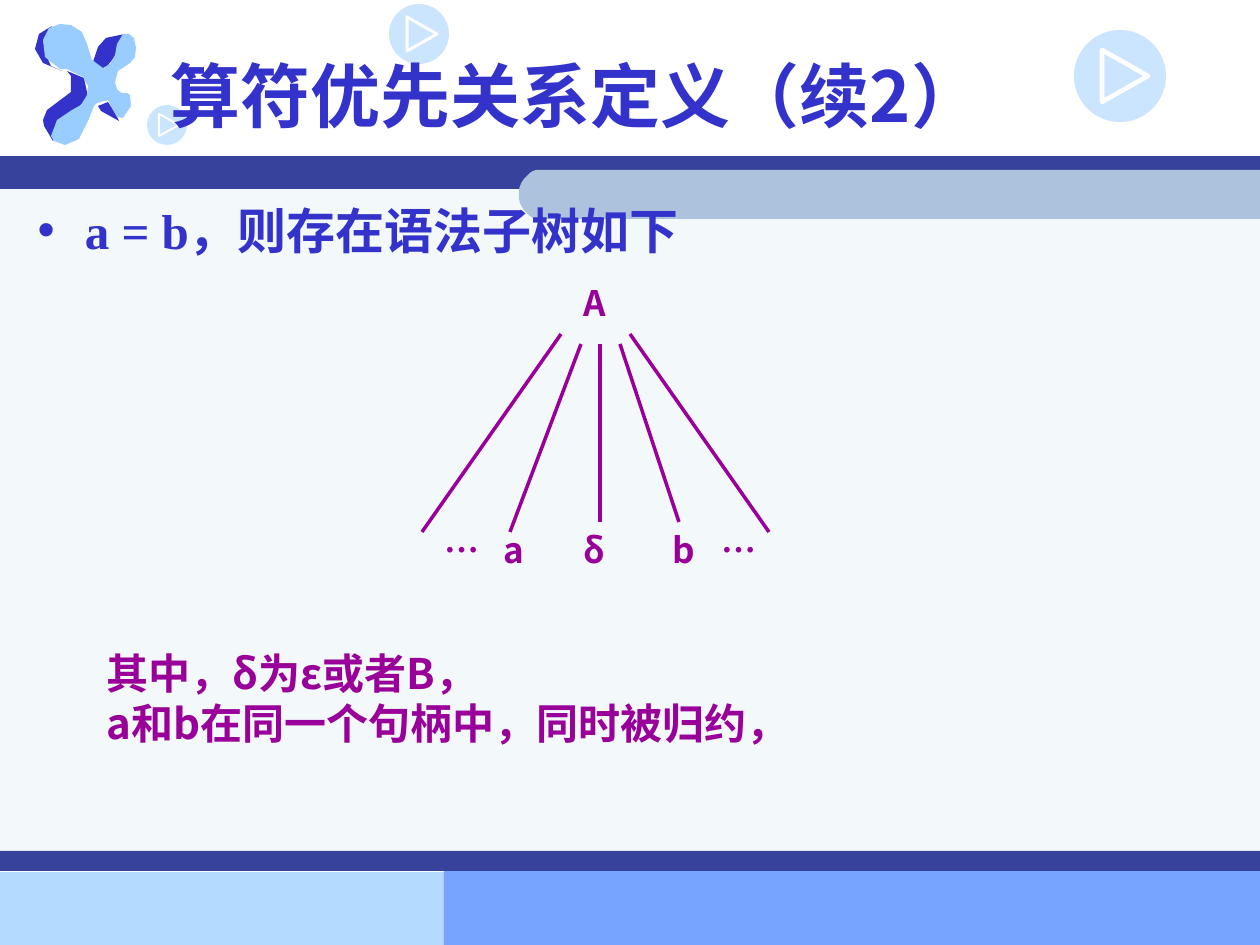
import math
from typing import NamedTuple

from lxml import etree
from pptx import Presentation
from pptx.dml.color import RGBColor
from pptx.enum.shapes import MSO_CONNECTOR, MSO_SHAPE
from pptx.enum.text import MSO_ANCHOR, PP_ALIGN
from pptx.oxml.ns import qn
from pptx.util import Emu, Pt

EMU_PER_PX = 914400 / 126
POINTS_PER_PX = 72 / 126
RECTANGLE, OVAL = MSO_SHAPE.RECTANGLE, MSO_SHAPE.OVAL
STRAIGHT = MSO_CONNECTOR.STRAIGHT
LEFT, MIDDLE, TOP = PP_ALIGN.LEFT, MSO_ANCHOR.MIDDLE, MSO_ANCHOR.TOP
SANS, SERIF = "Noto Sans CJK SC", "Times New Roman"
BLUE, PURPLE, SKY, NAVY, WHITE = "3333CC", "990099", "99CCFF", "36429B", "FFFFFF"


class Box(NamedTuple):
    left: int
    top: int
    width: int
    height: int


class Band(NamedTuple):
    box: Box
    color: str


class Style(NamedTuple):
    size: int
    color: str
    latin: str = SANS


class Label(NamedTuple):
    text: str
    left: int
    top: int


class Branch(NamedTuple):
    start: tuple[int, int]
    end: tuple[int, int]


class PlayIcon(NamedTuple):
    left: int
    top: int
    size: int


class Patch(NamedTuple):
    points: list[tuple[int, int]]
    color: str


BANDS = [
    Band(Box(0, 872, 535, 73), "B5DAFF"),
    Band(Box(444, 871, 816, 74), "77A4FF"),
    Band(Box(0, 176, 1260, 694), "F3F8FB"),
    Band(Box(0, 156, 1260, 33), NAVY),
    Band(Box(0, 851, 1260, 20), NAVY),
]
SPLASH = [
    Patch([(52, 26), (39, 34), (35, 49), (43, 63), (62, 71), (51, 66), (47, 57),
           (43, 41)], BLUE),
    Patch([(58, 123), (73, 113), (88, 97), (84, 78), (67, 71), (71, 76), (71, 92),
           (59, 101), (47, 110), (43, 120), (44, 126), (53, 141)], BLUE),
    Patch([(115, 113), (108, 102), (98, 106), (101, 111), (119, 121)], BLUE),
    Patch([(105, 69), (116, 55), (118, 44), (125, 34), (106, 38), (98, 47),
           (93, 62), (97, 67)], BLUE),
    Patch([(130, 63), (135, 57), (136, 48), (134, 38), (129, 34), (123, 34),
           (117, 44), (115, 55), (110, 64), (103, 68), (92, 60), (87, 44),
           (82, 32), (71, 25), (60, 24), (49, 28), (43, 40), (45, 57), (60, 69),
           (67, 69), (83, 77), (88, 86), (87, 95), (81, 105), (72, 110),
           (57, 120), (51, 136), (54, 141), (65, 145), (79, 139), (88, 121),
           (94, 106), (97, 103), (108, 100), (113, 110), (117, 117), (123, 118),
           (131, 106), (130, 95), (127, 93), (121, 93), (117, 89), (115, 82),
           (118, 71)], SKY),
]
ICONS = [PlayIcon(389, 4, 60), PlayIcon(1074, 30, 92), PlayIcon(147, 105, 40)]
LABELS = [Label("A", 571, 275)] + [
    Label(text, left, 522)
    for text, left in [("…", 432), ("a", 491), ("δ", 571), ("b", 660), ("…", 709)]
]
BRANCHES = [
    Branch((561, 334), (422, 532)),
    Branch((581, 344), (510, 532)),
    Branch((600, 344), (600, 522)),
    Branch((620, 344), (679, 522)),
    Branch((630, 334), (769, 532)),
]


def px(length: float) -> Emu:
    return Emu(round(length * EMU_PER_PX))


def rgb(color: str) -> RGBColor:
    return RGBColor.from_string(color)


def fill_shape(shape, color: str) -> None:
    shape.shadow.inherit = False
    shape.fill.solid()
    shape.fill.fore_color.rgb = rgb(color)
    shape.line.fill.background()


def add_preset(page, kind, box: Box, color: str):
    shape = page.shapes.add_shape(kind, *map(px, box))
    fill_shape(shape, color)
    return shape


def add_polygon(page, points: list, color: str):
    builder = page.shapes.build_freeform(*points[0], scale=EMU_PER_PX)
    builder.add_line_segments(points[1:], close=True)
    shape = builder.convert_to_shape()
    fill_shape(shape, color)
    return shape


def add_tab(page) -> None:
    angles = [math.radians(degrees) for degrees in range(90, 271, 10)]
    arc = [(540 + 21 * math.cos(a), 194.5 - 24.5 * math.sin(a)) for a in angles]
    add_polygon(page, [(1260, 170), *arc, (1260, 219)], "ADC3DD")


def add_play_icon(page, icon: PlayIcon) -> None:
    left, top, size = icon
    disc = add_preset(page, OVAL, Box(left, top, size, size), SKY)
    color = disc.fill._xPr.find(f".//{qn('a:srgbClr')}")
    etree.SubElement(color, qn("a:alpha"), val="50000")
    corners = [(left + size * x, top + size * y)
               for x, y in [(0.3, 0.22), (0.8, 0.5), (0.3, 0.78)]]
    triangle = add_polygon(page, corners, WHITE)
    triangle.fill.background()
    triangle.line.color.rgb = rgb(WHITE)
    triangle.line.width = Pt(round(size * 0.05 * POINTS_PER_PX, 2))


def write_text(shape, lines: list[str], style: Style, anchor=TOP) -> None:
    frame = shape.text_frame
    frame.word_wrap = True
    frame.vertical_anchor = anchor
    frame.text = "\n".join(lines)
    for para in frame.paragraphs:
        para.alignment = LEFT
        para.space_before = Pt(0)
        font = para.font
        font.size = Pt(style.size)
        font.bold = True
        font.color.rgb = rgb(style.color)
        font.name = style.latin
        etree.SubElement(font._element, qn("a:ea"), typeface=SANS)


def add_text(page, box: Box, lines: list[str], style: Style) -> None:
    write_text(page.shapes.add_textbox(*map(px, box)), lines, style)


def fill_placeholder(page, shape, box: Box, text: str, style: Style, anchor) -> None:
    page.shapes._spTree.append(shape._element)
    shape.left, shape.top, shape.width, shape.height = map(px, box)
    write_text(shape, [text], style, anchor)


def add_branch(page, branch: Branch) -> None:
    line = page.shapes.add_connector(STRAIGHT, *map(px, branch.start + branch.end))
    line.line.color.rgb = rgb(PURPLE)
    line.line.width = Pt(2)
    etree.SubElement(line._element.spPr, qn("a:effectLst"))


def main() -> None:
    deck = Presentation()
    deck.slide_width, deck.slide_height = px(1260), px(945)
    page = deck.slides.add_slide(deck.slide_layouts[1])
    title, body = page.placeholders
    for band in BANDS:
        add_preset(page, RECTANGLE, band.box, band.color)
    add_tab(page)
    for patch in SPLASH:
        add_polygon(page, patch.points, patch.color)
    for icon in ICONS:
        add_play_icon(page, icon)
    fill_placeholder(page, title, Box(158, 21, 1071, 147), "算符优先关系定义（续2）",
                     Style(40, BLUE), MIDDLE)
    fill_placeholder(page, body, Box(25, 194, 1211, 625), "a = b，则存在语法子树如下",
                     Style(28, BLUE, SERIF), TOP)
    for label in LABELS:
        add_text(page, Box(label.left, label.top, 49, 55), [label.text], Style(20, PURPLE))
    for branch in BRANCHES:
        add_branch(page, branch)
    add_text(page, Box(94, 641, 1092, 149),
             ["其中，δ为ε或者B，", "a和b在同一个句柄中，同时被归约，"], Style(24, PURPLE))
    deck.save("out.pptx")


if __name__ == "__main__":
    main()
